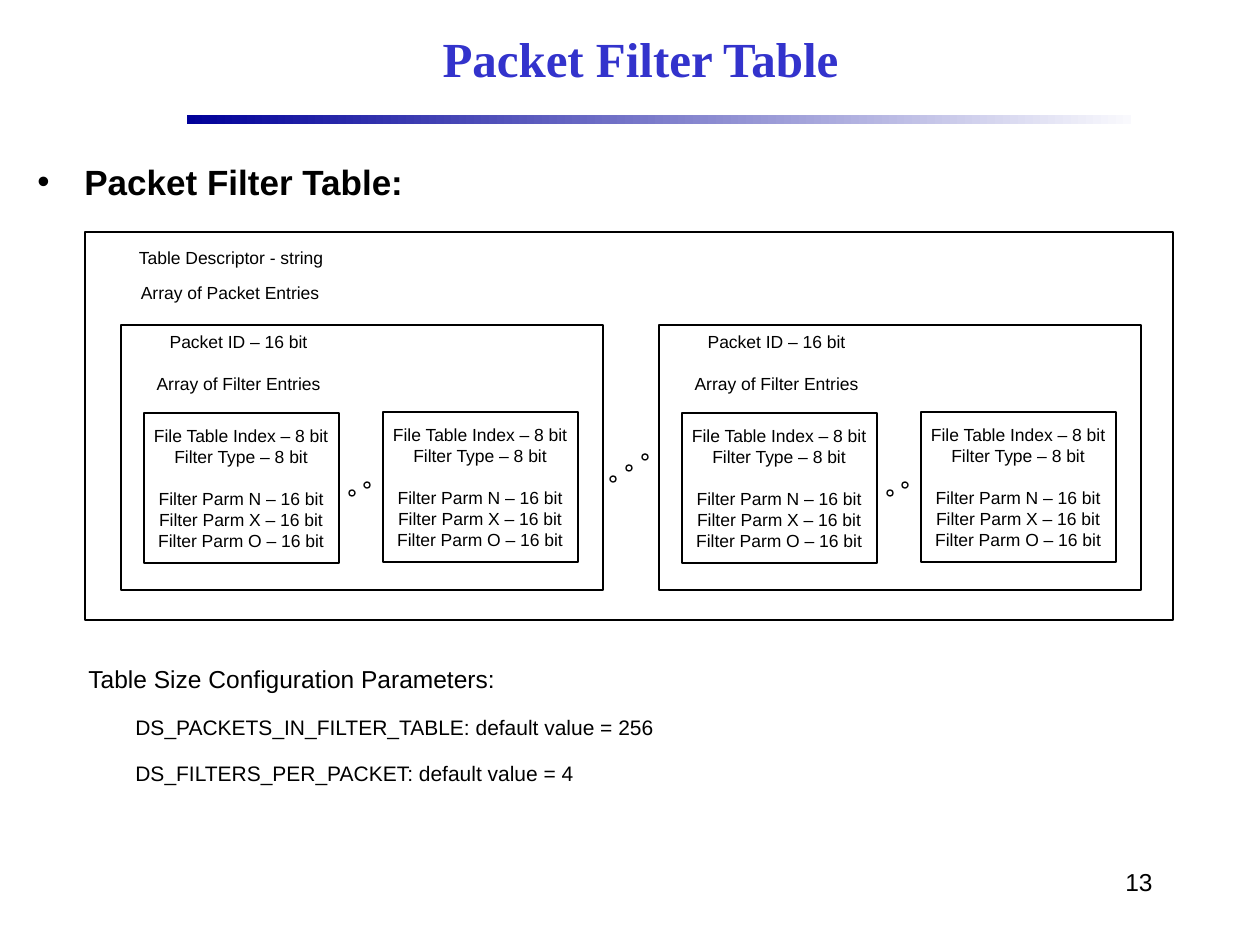
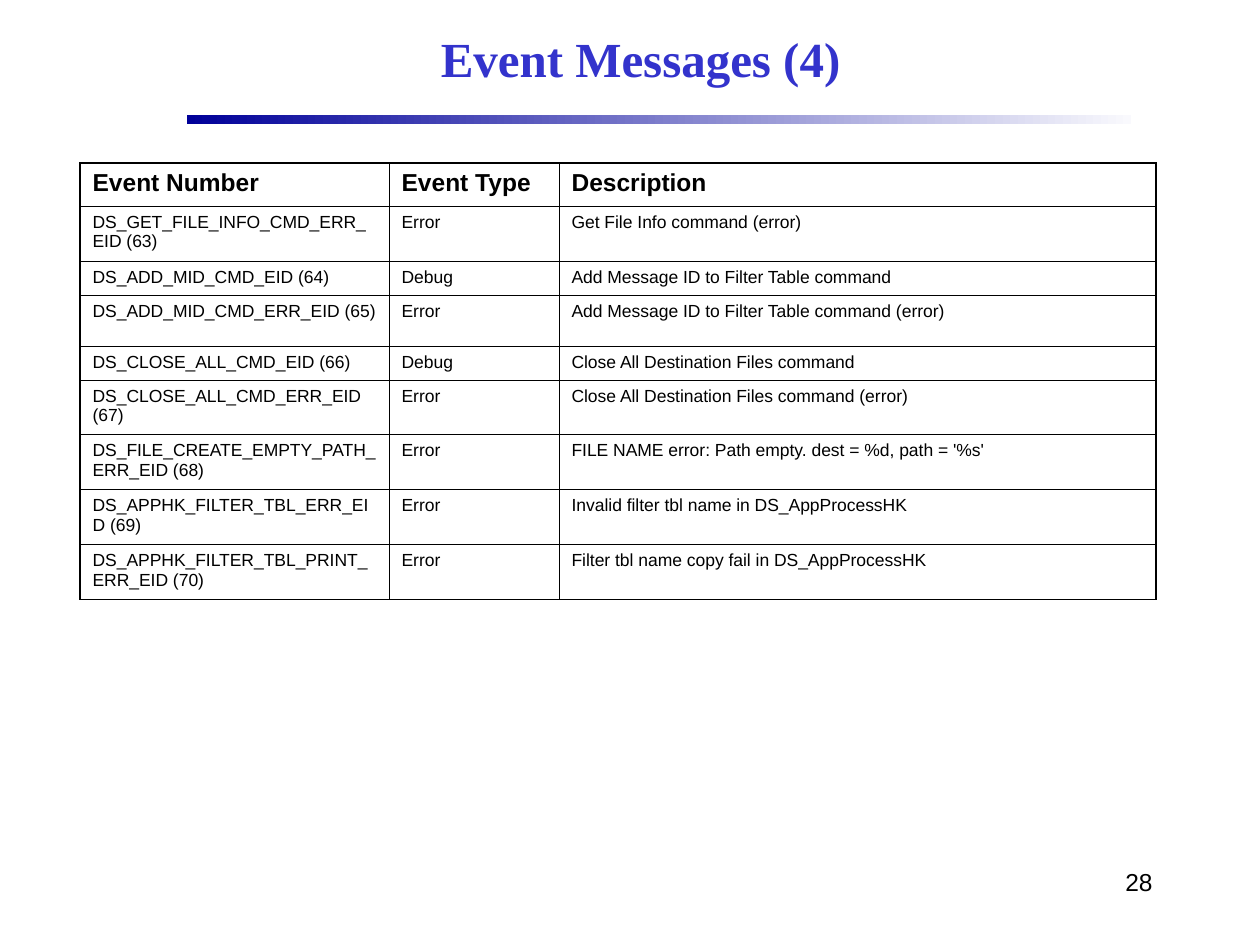
"""Build two slides: the packet filter table layout and a list of event messages."""
from lxml import etree
from pptx import Presentation
from pptx import util as u
from pptx.dml.color import RGBColor
from pptx.enum import shapes, text
from pptx.oxml.ns import qn

COLORS = {"title": "3333CC", "ink": "000000", "band_start": "000099", "band_end": "F9F9FD"}
BODY_FONT, TITLE_FONT = "Arial", "Times New Roman"
EMU_PER_PX = 914400 / 126
ALIGN = text.PP_ALIGN

FILTER_TITLE, FILTER_PAGE = "Packet Filter Table", "13"
FILTER_HEADING = "Packet Filter Table:"
TABLE_FIELDS = [
    ("Table Descriptor - string", (73, 241, 316, 34)),
    ("Array of Packet Entries", (71, 276, 318, 34)),
]
PACKET_FIELDS = ["Packet ID – 16 bit", "Array of Filter Entries"]
FILTER_FIELDS = [
    "File Table Index – 8 bit",
    "Filter Type – 8 bit",
    "Filter Parm N – 16 bit",
    "Filter Parm X – 16 bit",
    "Filter Parm O – 16 bit",
]
SIZE_HEADING = "Table Size Configuration Parameters:"
SIZE_PARAMETERS = [
    "DS_PACKETS_IN_FILTER_TABLE: default value = 256",
    "DS_FILTERS_PER_PACKET: default value = 4",
]
TABLE_BOX = (85, 232, 1088, 388)
PACKET_LEFTS = (121, 659)
FILTER_OFFSETS = ((23, 88), (262, 87))

EVENT_TITLE, EVENT_PAGE = "Event Messages (4)", "28"
EVENT_HEADER = ("Event Number", "Event Type", "Description")
EVENTS = [
    ("DS_GET_FILE_INFO_CMD_ERR_EID (63)", "Error", "Get File Info command (error)"),
    ("DS_ADD_MID_CMD_EID (64)", "Debug", "Add Message ID to Filter Table command"),
    ("DS_ADD_MID_CMD_ERR_EID (65)", "Error", "Add Message ID to Filter Table command (error)"),
    ("DS_CLOSE_ALL_CMD_EID (66)", "Debug", "Close All Destination Files command"),
    ("DS_CLOSE_ALL_CMD_ERR_EID (67)", "Error", "Close All Destination Files command (error)"),
    ("DS_FILE_CREATE_EMPTY_PATH_ERR_EID (68)", "Error",
     "FILE NAME error: Path empty. dest = %d, path = '%s'"),
    ("DS_APPHK_FILTER_TBL_ERR_EID (69)", "Error", "Invalid filter tbl name in DS_AppProcessHK"),
    ("DS_APPHK_FILTER_TBL_PRINT_ERR_EID (70)", "Error",
     "Filter tbl name copy fail in DS_AppProcessHK"),
]
COLUMN_WIDTHS = (309, 170, 597)
ROW_HEIGHTS = (43, 55, 34, 51, 34, 55, 55, 55, 55)


def px(value):
    return u.Emu(round(value * EMU_PER_PX))


def place(box):
    return [px(value) for value in box]


def rgb(name):
    return RGBColor.from_string(COLORS[name])


def style(paragraph, size, bold=False, color="ink", font=BODY_FONT, align=ALIGN.LEFT, line=None):
    paragraph.alignment = align
    if line:
        paragraph.line_spacing = u.Pt(line)
    for run in paragraph.runs:
        run.font.size = u.Pt(size)
        run.font.bold = bold
        run.font.name = font
        run.font.color.rgb = rgb(color)


def add_text(slide, box, lines, size, **options):
    frame = slide.shapes.add_textbox(*place(box)).text_frame
    frame.word_wrap = True
    frame.text = "\n".join(lines)
    for paragraph in frame.paragraphs:
        style(paragraph, size, **options)
    return frame


def add_outline(slide, kind, box):
    shape = slide.shapes.add_shape(kind, *place(box))
    shape.shadow.inherit = False
    shape.fill.background()
    shape.line.color.rgb = rgb("ink")
    shape.line.width = u.Pt(0.75)


def add_box(slide, box):
    add_outline(slide, shapes.MSO_SHAPE.RECTANGLE, box)


def add_dots(slide, left, top, count, step_x, step_y):
    for index in range(count):
        dot = (left + index * step_x, top - index * step_y, 6, 6)
        add_outline(slide, shapes.MSO_SHAPE.OVAL, dot)


def add_base_slide(presentation, title, page):
    slide = presentation.slides.add_slide(presentation.slide_layouts[6])
    band = slide.shapes.add_shape(shapes.MSO_SHAPE.RECTANGLE, *place((187, 115, 944, 9)))
    band.shadow.inherit = False
    band.line.fill.background()
    band.fill.gradient()
    band.fill.gradient_angle = 0
    for stop, name in zip(band.fill.gradient_stops, ("band_start", "band_end")):
        stop.color.rgb = rgb(name)
    add_text(slide, (903, 861, 262, 63), [page], 14, align=ALIGN.RIGHT)
    frame = add_text(slide, (189, 10, 903, 95), [title], 28, bold=True, color="title",
                     font=TITLE_FONT, align=ALIGN.CENTER)
    frame.vertical_anchor = text.MSO_ANCHOR.MIDDLE
    return slide


def add_filter(slide, left, top):
    add_box(slide, (left, top, 195, 150))
    frame = add_text(slide, (left - 10, top + 6, 214, 139), FILTER_FIELDS, 10,
                     align=ALIGN.CENTER, line=12)
    frame.paragraphs[2].space_before = u.Pt(12)


def add_packet(slide, left):
    top = 325
    add_box(slide, (left, top, 482, 265))
    frame = add_text(slide, (left - 3, top, 241, 76), PACKET_FIELDS, 10,
                     align=ALIGN.CENTER, line=12)
    frame.paragraphs[1].space_before = u.Pt(12)
    for offset_x, offset_y in FILTER_OFFSETS:
        add_filter(slide, left + offset_x, top + offset_y)
    add_dots(slide, left + 228, top + 165, 2, 15, 8)


def set_bullet(paragraph, indent):
    properties = paragraph._p.get_or_add_pPr()
    properties.set("marL", str(px(indent)))
    properties.set("indent", str(-px(indent)))
    etree.SubElement(properties, qn("a:buFont"), typeface=BODY_FONT)
    etree.SubElement(properties, qn("a:buChar"), char="•")


def build_filter_slide(presentation):
    slide = add_base_slide(presentation, FILTER_TITLE, FILTER_PAGE)
    heading = add_text(slide, (25, 154, 600, 73), [FILTER_HEADING], 20, bold=True)
    set_bullet(heading.paragraphs[0], 47)
    add_box(slide, TABLE_BOX)
    for field, box in TABLE_FIELDS:
        add_text(slide, box, [field], 10, align=ALIGN.CENTER, line=12)
    for left in PACKET_LEFTS:
        add_packet(slide, left)
    add_dots(slide, 610, 476, 3, 16, 11)
    frame = add_text(slide, (76, 658, 621, 151), [SIZE_HEADING, *SIZE_PARAMETERS], 12, line=21)
    style(frame.paragraphs[0], 14, line=17)
    for paragraph in frame.paragraphs[1:]:
        paragraph.space_before = u.Pt(5.2)
        paragraph._p.get_or_add_pPr().set("marL", str(px(47)))


def set_borders(cell, widths):
    properties = cell._tc.get_or_add_tcPr()
    for side, width in widths.items():
        line = etree.SubElement(properties, qn(f"a:ln{side}"), w=str(u.Pt(width)))
        fill = etree.SubElement(line, qn("a:solidFill"))
        etree.SubElement(fill, qn("a:srgbClr"), val=COLORS["ink"])


def build_event_slide(presentation):
    slide = add_base_slide(presentation, EVENT_TITLE, EVENT_PAGE)
    rows = [EVENT_HEADER, *EVENTS]
    box = (80, 163, sum(COLUMN_WIDTHS), sum(ROW_HEIGHTS))
    table = slide.shapes.add_table(len(rows), len(EVENT_HEADER), *place(box)).table
    table.first_row = table.horz_banding = False
    for column, width in zip(table.columns, COLUMN_WIDTHS):
        column.width = px(width)
    thin, thick = 0.45, 1.08
    for row_index, (values, height) in enumerate(zip(rows, ROW_HEIGHTS)):
        table.rows[row_index].height = px(height)
        header = row_index == 0
        for column_index, value in enumerate(values):
            cell = table.cell(row_index, column_index)
            cell.text_frame.text = value
            style(cell.text_frame.paragraphs[0], 14 if header else 10, bold=header,
                  line=15.6 if header else 11.2)
            set_borders(cell, {
                "L": thick if column_index == 0 else thin,
                "R": thick if column_index == len(values) - 1 else thin,
                "T": thick if header else thin,
                "B": thin,
            })
            cell.fill.background()


def main():
    presentation = Presentation()
    presentation.slide_width, presentation.slide_height = px(1260), px(945)
    build_filter_slide(presentation)
    build_event_slide(presentation)
    presentation.save("out.pptx")


if __name__ == "__main__":
    main()
